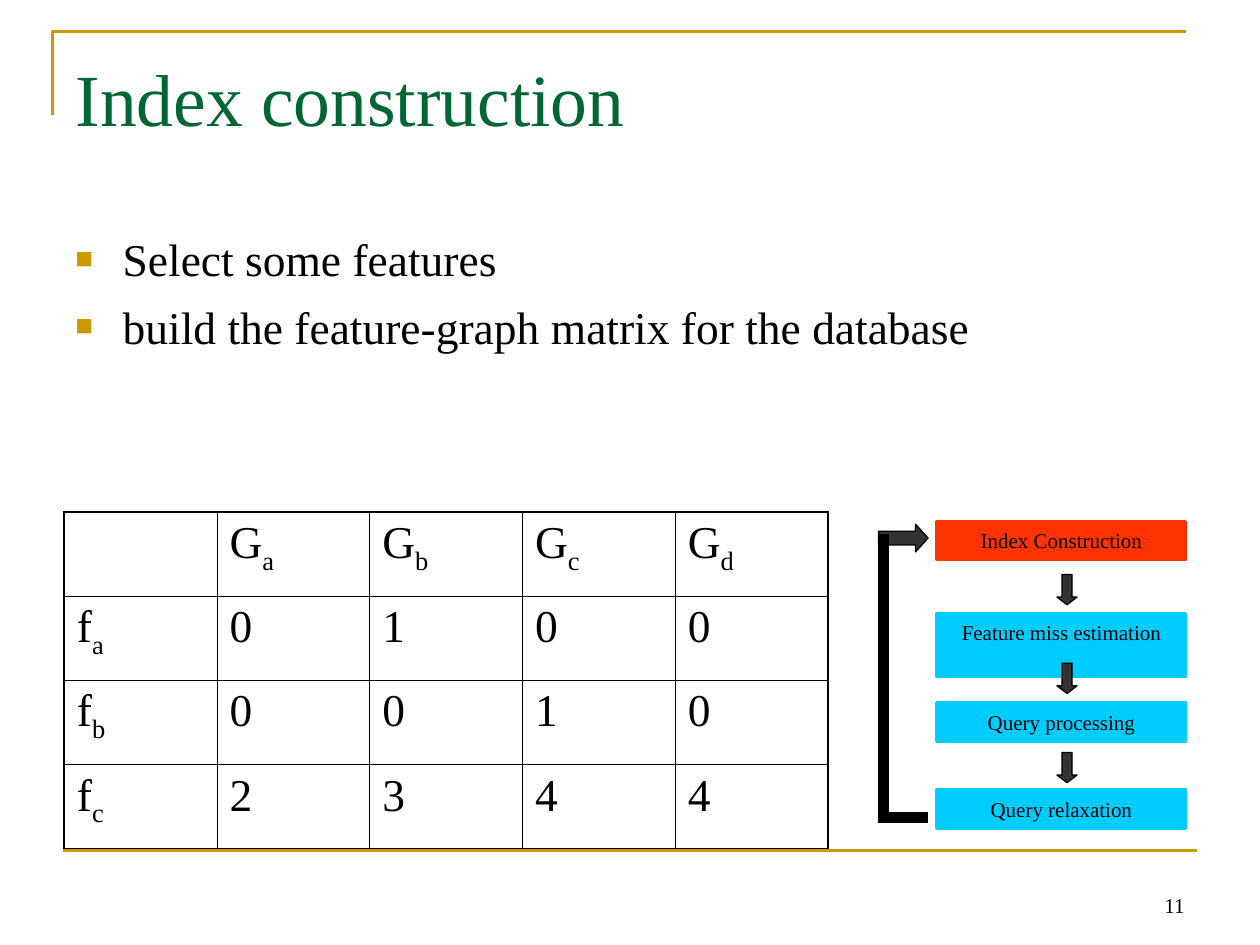
from dataclasses import dataclass

from lxml import etree
from pptx import Presentation
from pptx.dml.color import RGBColor
from pptx.enum.shapes import MSO_CONNECTOR, MSO_SHAPE
from pptx.enum.text import MSO_ANCHOR, MSO_AUTO_SIZE, PP_ALIGN
from pptx.oxml.ns import qn
from pptx.util import Pt

RECT, DOWN_ARROW = MSO_SHAPE.RECTANGLE, MSO_SHAPE.DOWN_ARROW
STRAIGHT = MSO_CONNECTOR.STRAIGHT
LEFT, CENTER, RIGHT = PP_ALIGN.LEFT, PP_ALIGN.CENTER, PP_ALIGN.RIGHT
TOP, BOTTOM = MSO_ANCHOR.TOP, MSO_ANCHOR.BOTTOM
NO_AUTOFIT = MSO_AUTO_SIZE.NONE

FONT = "Times New Roman"
COLORS = {
    "rule": "CC9900",
    "title": "006633",
    "text": "000000",
    "step": "00CCFF",
    "current": "FF3300",
    "arrow": "333333",
}
TITLE_ONLY = 5


@dataclass
class Step:
    label: str
    top: float
    height: float
    color: str = "step"


@dataclass
class Block:
    kind: int
    left: float
    top: float
    width: float
    height: float
    fill: str
    line: str = "text"
    line_width: float = 0.75
    rotation: float = 0
    head: float = 0.38


STEPS = [
    Step("Index Construction", 298, 21.6, "current"),
    Step("Feature miss estimation", 350.6, 36),
    Step("Query processing", 401.8, 21.6),
    Step("Query relaxation", 451.4, 21.6),
]
STEP_LEFT, STEP_WIDTH = 535.7, 141.8
ARROW_TOPS = [328.3, 379, 430]
BULLETS = [
    "Select some features",
    "build the feature-graph matrix for the database",
]
GRAPHS = "abcd"
FEATURES = {"a": [0, 1, 0, 0], "b": [0, 0, 1, 0], "c": [2, 3, 4, 4]}


def rgb(name: str) -> RGBColor:
    return RGBColor.from_string(COLORS[name])


def format_paragraph(p, size: float, color: str = "text", align=LEFT) -> None:
    p.alignment = align
    for r in p.runs:
        r.font.name = FONT
        r.font.size = Pt(size)
        r.font.color.rgb = rgb(color)


def add_textbox(s, left: float, top: float, width: float, height: float):
    tf = s.shapes.add_textbox(Pt(left), Pt(top), Pt(width), Pt(height)).text_frame
    tf.word_wrap = True
    return tf


def add_block(s, b: Block):
    sp = s.shapes.add_shape(b.kind, Pt(b.left), Pt(b.top), Pt(b.width), Pt(b.height))
    sp.shadow.inherit = False
    sp.fill.solid()
    sp.fill.fore_color.rgb = rgb(b.fill)
    sp.line.color.rgb = rgb(b.line)
    sp.line.width = Pt(b.line_width)
    sp.rotation = b.rotation
    if b.kind == DOWN_ARROW:
        sp.adjustments[0], sp.adjustments[1] = 0.5, b.head
    return sp


def add_step(s, step: Step) -> None:
    sp = add_block(s, Block(RECT, STEP_LEFT, step.top, STEP_WIDTH, step.height,
                            step.color, step.color, 2.25))
    tf = sp.text_frame
    tf.word_wrap = True
    tf.vertical_anchor = TOP
    tf.text = step.label
    format_paragraph(tf.paragraphs[0], 12, align=CENTER)


def add_bullet(p) -> None:
    pPr = p._p.get_or_add_pPr()
    pPr.set("marL", str(Pt(27)))
    pPr.set("indent", str(-Pt(27)))
    color = etree.SubElement(pPr, qn("a:buClr"))
    etree.SubElement(color, qn("a:srgbClr"), val=COLORS["rule"])
    etree.SubElement(pPr, qn("a:buSzPct"), val="65000")
    etree.SubElement(pPr, qn("a:buFont"), typeface=FONT)
    etree.SubElement(pPr, qn("a:buChar"), char="■")


def set_border(cell, side: str, width: float) -> None:
    ln = etree.SubElement(cell._tc.get_or_add_tcPr(), qn(f"a:ln{side}"), w=str(Pt(width)))
    fill = etree.SubElement(ln, qn("a:solidFill"))
    etree.SubElement(fill, qn("a:srgbClr"), val=COLORS["text"])


def add_matrix(s, left: float, top: float, width: float, height: float) -> None:
    # Each entry is a base text and its subscript
    rows = [[("", "")] + [("G", g) for g in GRAPHS]]
    rows += [[("f", f)] + [(str(n), "") for n in counts] for f, counts in FEATURES.items()]
    n_rows, n_cols = len(rows), len(rows[0])
    table = s.shapes.add_table(n_rows, n_cols, Pt(left), Pt(top), Pt(width), Pt(height)).table
    table.first_row = table.horz_banding = False
    for i, row in enumerate(rows):
        for j, (base, sub) in enumerate(row):
            cell = table.cell(i, j)
            outer = {"L": j == 0, "R": j == n_cols - 1, "T": i == 0, "B": i == n_rows - 1}
            for side, is_outer in outer.items():
                set_border(cell, side, 1.08 if is_outer else 0.45)
            cell.fill.background()
            p = cell.text_frame.paragraphs[0]
            for text in filter(None, (base, sub)):
                p.add_run().text = text
            format_paragraph(p, 26)
            if sub:
                p.runs[1].font._element.set("baseline", "-25000")


def main() -> None:
    prs = Presentation()
    prs.slide_width, prs.slide_height = Pt(720), Pt(540)
    s = prs.slides.add_slide(prs.slide_layouts[TITLE_ONLY])

    # Gold rules
    builder = s.shapes.build_freeform(Pt(30), Pt(66))
    builder.add_line_segments([(Pt(30), Pt(18)), (Pt(678), Pt(18))], close=False)
    corner = builder.convert_to_shape()
    corner.shadow.inherit = False
    corner.fill.background()
    rule = s.shapes.add_connector(STRAIGHT, Pt(36), Pt(486), Pt(684), Pt(486))
    etree.SubElement(rule._element.spPr, qn("a:effectLst"))
    for sp in (corner, rule):
        sp.line.color.rgb = rgb("rule")
        sp.line.width = Pt(1.5)

    # Title
    title = s.shapes.title
    title.left, title.top, title.width, title.height = Pt(36), Pt(21.6), Pt(648), Pt(90)
    tf = title.text_frame
    tf.text = "Index construction"
    tf.auto_size = NO_AUTOFIT
    tf.vertical_anchor = TOP
    tf.margin_top = Pt(8.5)
    format_paragraph(tf.paragraphs[0], 42, "title")

    # Bullets
    tf = add_textbox(s, 36, 126, 647, 356)
    tf.margin_top = Pt(6)
    tf.text = "\n".join(BULLETS)
    for i, p in enumerate(tf.paragraphs):
        add_bullet(p)
        format_paragraph(p, 26)
        if i:
            p.space_before = Pt(7.5)

    # Process steps, arrows between them and the loop back to the start
    for step in STEPS:
        add_step(s, step)
    for top in ARROW_TOPS:
        add_block(s, Block(DOWN_ARROW, 604, top, 11.5, 17.3, "arrow"))
    add_block(s, Block(DOWN_ARROW, 508.3, 293.3, 15.8, 28.3, "arrow", rotation=270, head=0.45))
    add_block(s, Block(RECT, 502, 305.3, 5.8, 164.2, "text"))
    add_block(s, Block(RECT, 502, 464.4, 28, 5.8, "text"))

    # Feature-graph matrix
    add_matrix(s, 36.7, 292.5, 436.5, 192.4)

    # Slide number
    tf = add_textbox(s, 516, 492, 168, 36)
    tf.vertical_anchor = BOTTOM
    tf.text = "11"
    format_paragraph(tf.paragraphs[0], 12, align=RIGHT)

    prs.save("out.pptx")


if __name__ == "__main__":
    main()
